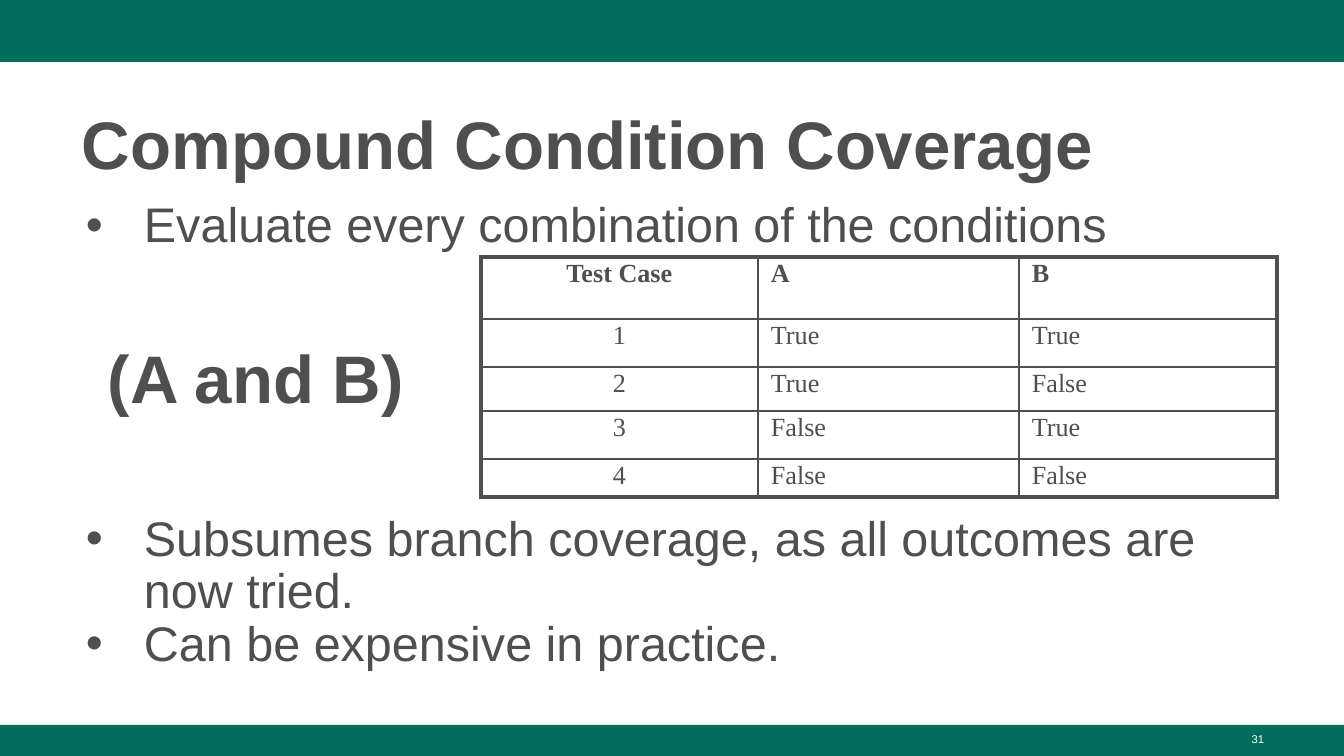
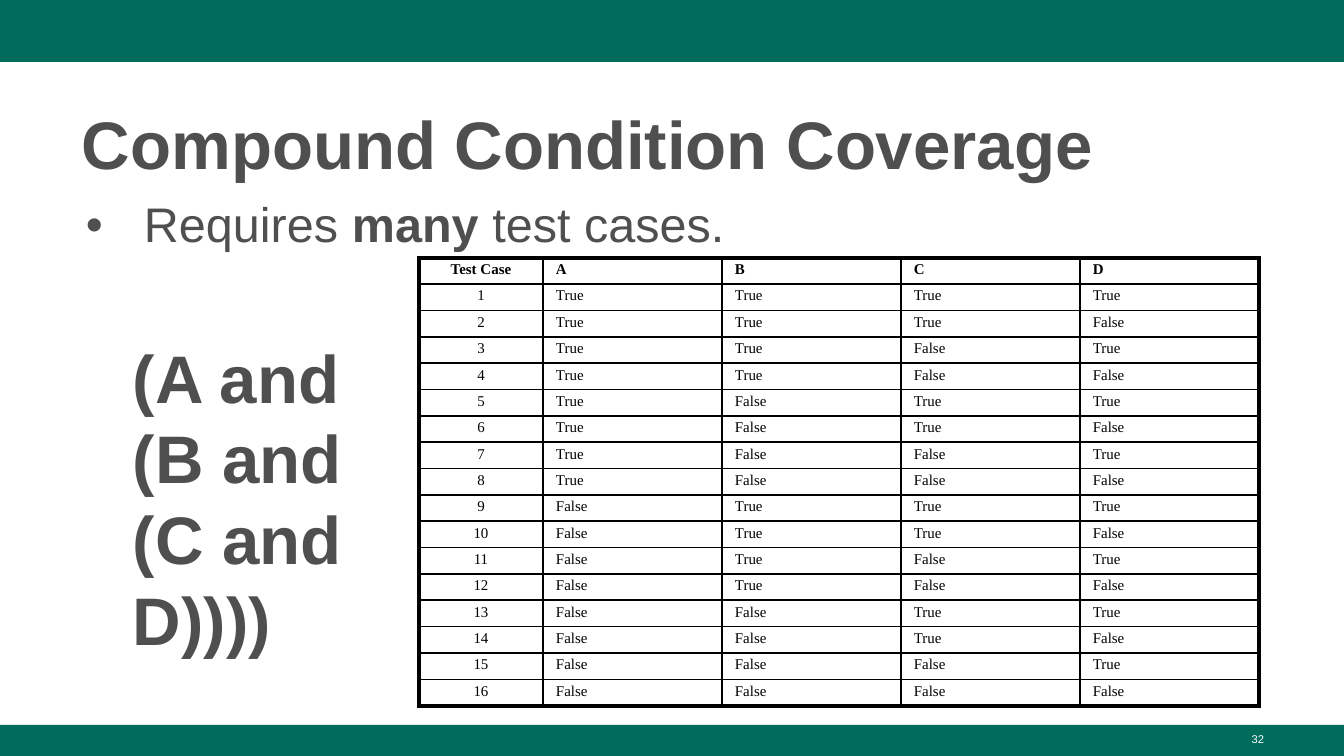
from itertools import product

from lxml import etree
from pptx import Presentation, util as u
from pptx.dml.color import RGBColor
from pptx.enum import shapes, text
from pptx.oxml.ns import qn

W, H = 1344, 756
EMU_PER_PX = 9144000 / W
GREEN, GREY, BLACK, WHITE = "006C5C", "4F4F4F", "000000", "FFFFFF"
SANS, SERIF = "Arial", "Times New Roman"
BIG = {"size": 36, "bold": True}
CONTENT = (69, 188, 1208, 512)
SIDES = ("left", "top", "right", "bottom")
LEFT, CENTER, RIGHT = (text.PP_ALIGN.LEFT, text.PP_ALIGN.CENTER,
                       text.PP_ALIGN.RIGHT)


def px(n):
    return u.Emu(round(n * EMU_PER_PX))


def rgb(color):
    return RGBColor.from_string(color)


def set_margins(target, margins):
    for side, n in zip(SIDES, margins):
        setattr(target, f"margin_{side}", px(n))


def add_run(p, words, size, bold=False, color=GREY, name=SANS):
    r = p.add_run()
    r.text = words
    for key, value in {"size": u.Pt(size), "bold": bold, "name": name}.items():
        setattr(r.font, key, value)
    r.font.color.rgb = rgb(color)


def format_paragraph(p, **formats):
    for key, value in formats.items():
        setattr(p, key, value)


def add_text(s, box, margins, anchor=text.MSO_ANCHOR.TOP):
    tf = s.shapes.add_textbox(*map(px, box)).text_frame
    tf.word_wrap = True
    tf.vertical_anchor = anchor
    set_margins(tf, margins)
    return tf


def next_paragraph(tf, i):
    return tf.add_paragraph() if i else tf.paragraphs[0]


def add_bullet(p):
    pPr = p._p.get_or_add_pPr()
    pPr.set("marL", str(px(67)))
    pPr.set("indent", str(-px(58)))
    color = etree.SubElement(pPr, qn("a:buClr"))
    etree.SubElement(color, qn("a:srgbClr"), val=GREY)
    etree.SubElement(pPr, qn("a:buFont"), typeface=SANS)
    etree.SubElement(pPr, qn("a:buChar"), char="•")


# Bands, title and page number shared by the slides
def add_frame(prs, title, number):
    s = prs.slides.add_slide(prs.slide_layouts[6])
    for top, height in ((0, 62), (725, 31)):
        sp = s.shapes.add_shape(shapes.MSO_SHAPE.RECTANGLE,
                                *map(px, (0, top, W, height)))
        sp.shadow.inherit = False
        sp.fill.solid()
        sp.fill.fore_color.rgb = rgb(GREEN)
        sp.line.fill.background()

    tf = add_text(s, (69, 90, 1208, 98), (13, 7, 7, 7), text.MSO_ANCHOR.MIDDLE)
    p = tf.paragraphs[0]
    format_paragraph(p, line_spacing=1.08)
    add_run(p, title, **BIG)

    p = add_text(s, (964, 726, 313, 31), (13, 7, 13, 7)).paragraphs[0]
    format_paragraph(p, alignment=RIGHT)
    add_run(p, str(number), 6, color=WHITE)
    return s


# Bullets: each is (space before in points, [(words, bold), ...])
def add_bullets(s, box, bullets):
    tf = add_text(s, box, (8, 13, 13, 7))
    for i, (before, runs) in enumerate(bullets):
        p = next_paragraph(tf, i)
        format_paragraph(p, line_spacing=0.9)
        if before:
            format_paragraph(p, space_before=u.Pt(before))
        add_bullet(p)
        for words, bold in runs:
            add_run(p, words, 26, bold)


# The condition under test
def add_expression(s, box, lines):
    tf = add_text(s, box, (13, 13, 13, 13))
    for i, line in enumerate(lines):
        add_run(next_paragraph(tf, i), line, **BIG)


def set_borders(cell, widths, color):
    tcPr = cell._tc.get_or_add_tcPr()
    for i, (side, width) in enumerate(zip("LTRB", widths)):
        ln = etree.Element(qn(f"a:ln{side}"), w=str(u.Pt(width)))
        fill = etree.SubElement(ln, qn("a:solidFill"))
        etree.SubElement(fill, qn("a:srgbClr"), val=color)
        tcPr.insert(i, ln)


# Every combination of truth values, one test case a row
def add_truth_table(s, origin, cols, rows, conditions, size, color):
    cases = product(("True", "False"), repeat=len(conditions))
    data = [["Test Case", *conditions]]
    data += [[str(i), *case] for i, case in enumerate(cases, 1)]

    box = (*origin, sum(cols), sum(rows))
    table = s.shapes.add_table(len(rows), len(cols), *map(px, box)).table
    table.first_row = table.horz_banding = False
    for col, width in zip(table.columns, cols):
        col.width = px(width)
    for row, height in zip(table.rows, rows):
        row.height = px(height)

    last_row, last_col = len(rows) - 1, len(cols) - 1
    for i, values in enumerate(data):
        for j, value in enumerate(values):
            cell = table.cell(i, j)
            cell.fill.background()
            set_margins(cell, (13, 5, 13, 5))
            outer = (j == 0, i == 0, j == last_col, i == last_row)
            set_borders(cell, [2.25 if edge else 1 for edge in outer], color)
            p = cell.text_frame.paragraphs[0]
            format_paragraph(p, line_spacing=0.9,
                             alignment=LEFT if j else CENTER)
            add_run(p, value, size, i == 0, color, SERIF)


def two_conditions(prs, title):
    s = add_frame(prs, title, 31)
    add_bullets(s, CONTENT, [
        (0, [("Evaluate every combination of the conditions", False)]),
        (140, [("Subsumes branch coverage, as all outcomes are now tried.",
                False)]),
        (0, [("Can be expensive in practice.", False)]),
    ])
    add_truth_table(s, (481, 257), (277, 261, 258), (62, 48, 44, 48, 38),
                    "AB", 14, GREY)
    add_expression(s, (95, 323, 345, 84), ["(A and B)"])


def four_conditions(prs, title):
    s = add_frame(prs, title, 32)
    add_bullets(s, CONTENT, [
        (0, [("Requires ", False), ("many", True), (" test cases.", False)]),
    ])
    add_expression(s, (120, 323, 309, 84),
                   ["(A and", "(B and", "(C and D))))"])
    add_truth_table(s, (419, 258), [124] + [179] * 4, [24] + [422 / 16] * 16,
                    "ABCD", 8, BLACK)


def main():
    prs = Presentation()
    prs.slide_width, prs.slide_height = px(W), px(H)
    title = "Compound Condition Coverage"
    two_conditions(prs, title)
    four_conditions(prs, title)
    prs.save("out.pptx")


if __name__ == "__main__":
    main()
